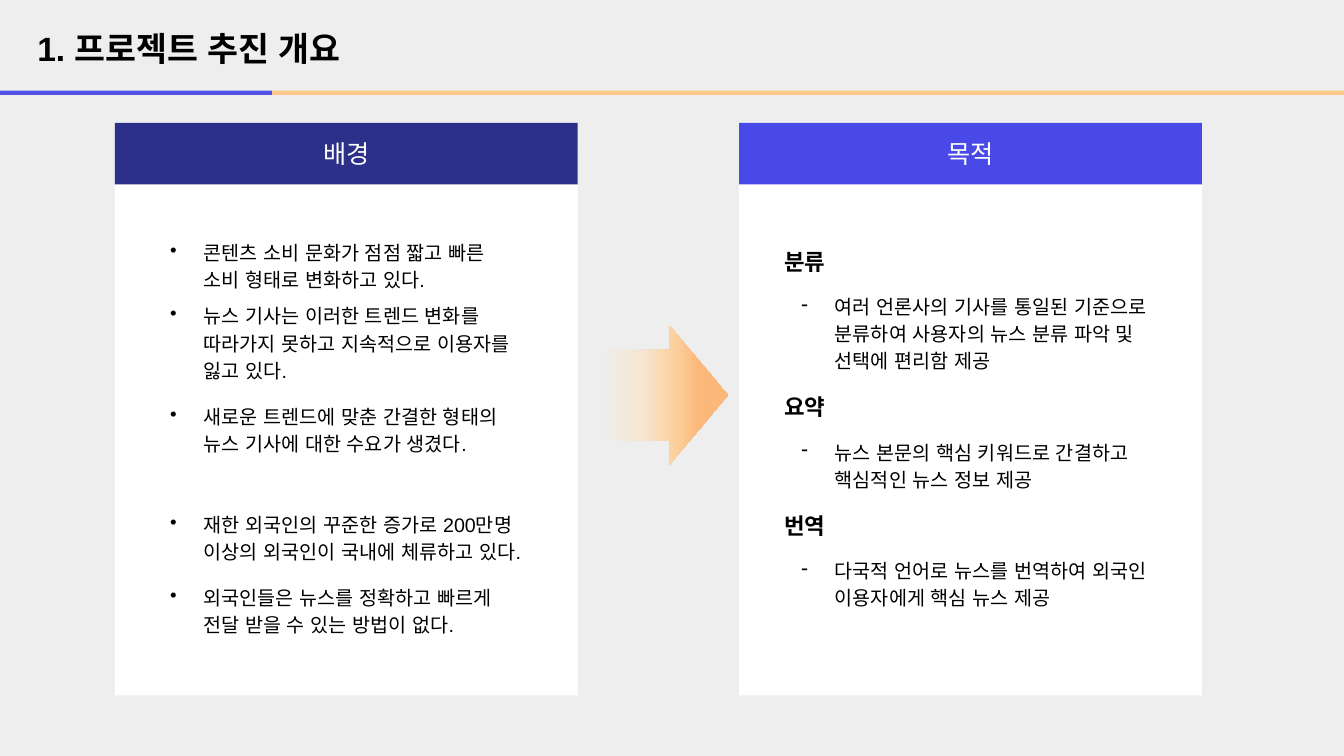
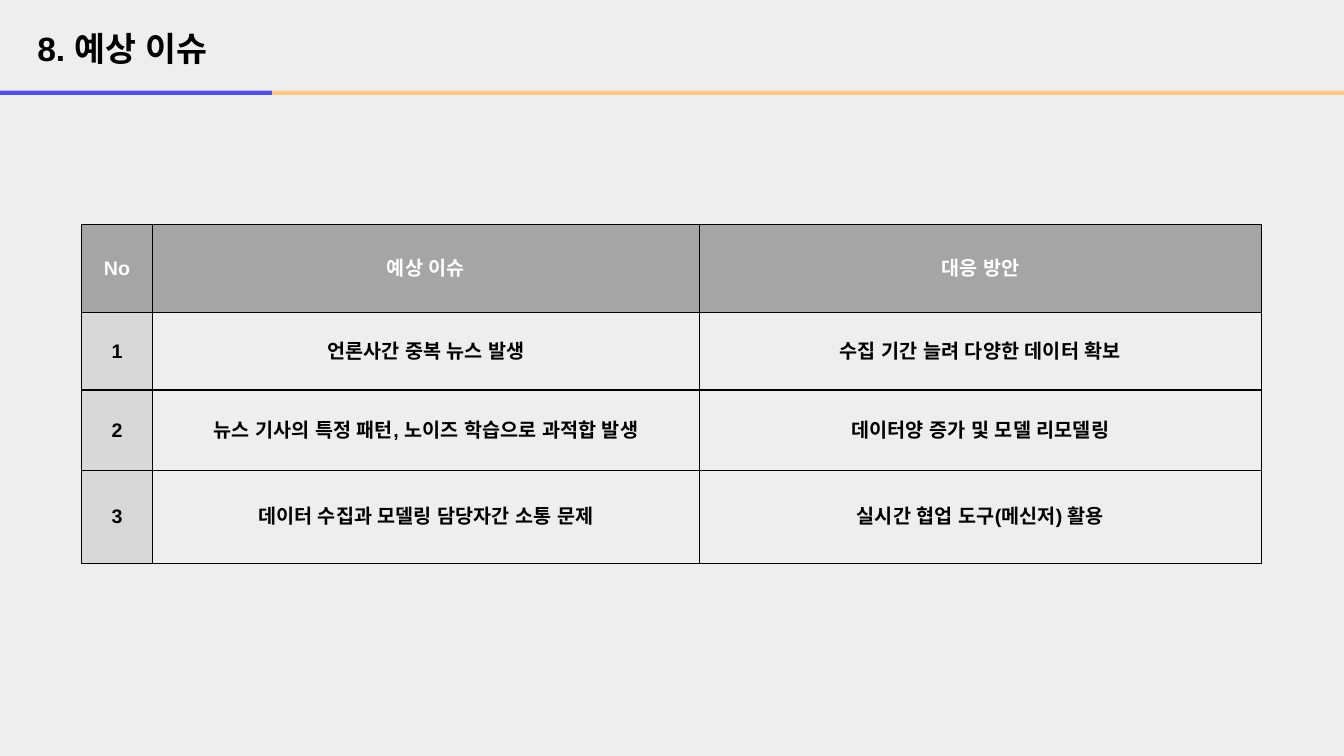
"""Build a project overview slide and an expected issues slide."""
from dataclasses import dataclass

from lxml.etree import SubElement
from pptx import Presentation
from pptx.dml.color import RGBColor
from pptx.enum.lang import MSO_LANGUAGE_ID as Language
from pptx.enum.shapes import MSO_CONNECTOR as Connector, MSO_SHAPE as Preset
from pptx.enum.text import MSO_ANCHOR as Anchor, PP_ALIGN as Align
from pptx.oxml.ns import qn
from pptx.util import Inches, Pt


@dataclass(frozen=True)
class Theme:
    font: str = "Arial"
    background: str = "EEEEEE"
    panel: str = "FFFFFF"
    navy: str = "2C3089"
    blue: str = "4949E8"
    orange: str = "FFC785"
    ink: str = "000000"
    light_text: str = "FFFFFF"
    table_header: str = "A5A5A5"
    table_number: str = "D8D8D8"
    title_size: int = 24
    panel_size: int = 18
    heading_size: int = 16
    body_size: int = 14


THEME = Theme()

OVERVIEW_TITLE = "1. 프로젝트 추진 개요"
BACKGROUND_POINTS = [
    ("콘텐츠 소비 문화가 점점 짧고 빠른 소비 형태로 변화하고 있다.", 0),
    ("뉴스 기사는 이러한 트렌드 변화를 따라가지 못하고 지속적으로 이용자를 잃고 있다.", 6.5),
    ("새로운 트렌드에 맞춘 간결한 형태의 뉴스 기사에 대한 수요가 생겼다.", 14),
    ("재한 외국인의 꾸준한 증가로 200만명 이상의 외국인이 국내에 체류하고 있다.", 38.5),
    ("외국인들은 뉴스를 정확하고 빠르게 전달 받을 수 있는 방법이 없다.", 13.5),
]
PURPOSES = [
    ("분류", "여러 언론사의 기사를 통일된 기준으로 분류하여 사용자의 뉴스 분류 파악 및 선택에 편리함 제공"),
    ("요약", "뉴스 본문의 핵심 키워드로 간결하고 핵심적인 뉴스 정보 제공"),
    ("번역", "다국적 언어로 뉴스를 번역하여 외국인 이용자에게 핵심 뉴스 제공"),
]
PANELS = [("배경", 1.14, THEME.navy), ("목적", 7.33, THEME.blue)]
ARROW_STOPS = [(0, "EEEEEE"), (8, "EEEEEE"), (38, "F6E6D2"),
               (61, "FBD1A0"), (79, "FCB87A"), (100, "FCB87A")]

ISSUES_TITLE = "8. 예상 이슈"
ISSUES = [
    ("No", "예상 이슈", "대응 방안"),
    ("1", "언론사간 중복 뉴스 발생", "수집 기간 늘려 다양한 데이터 확보"),
    ("2", "뉴스 기사의 특정 패턴, 노이즈 학습으로 과적합 발생", "데이터양 증가 및 모델 리모델링"),
    ("3", "데이터 수집과 모델링 담당자간 소통 문제", "실시간 협업 도구(메신저) 활용"),
]
COLUMN_WIDTHS = [0.7, 5.43, 5.57]
ROW_HEIGHTS = [0.87, 0.77, 0.8, 0.92]


def rgb(color):
    return RGBColor.from_string(color)


def box(left, top, width, height):
    return [Inches(value) for value in (left, top, width, height)]


def write(frame, text, *, size=THEME.body_size, color=THEME.ink, bold=False,
          align=Align.LEFT, before=0, line_spacing=1.0, bullet=None):
    """Add one formatted paragraph, using the first one while it is blank."""
    first = frame.paragraphs[0]
    paragraph = frame.add_paragraph() if first.runs else first
    paragraph.alignment = align
    paragraph.space_before = Pt(before)
    paragraph.line_spacing = line_spacing
    run = paragraph.add_run()
    run.text = text
    font = run.font
    font.name, font.size, font.bold = THEME.font, Pt(size), bold
    font.color.rgb = rgb(color)
    font.language_id = Language.KOREAN
    SubElement(font._element, qn("a:ea"), typeface=THEME.font)
    if bullet:
        properties = paragraph._p.get_or_add_pPr()
        properties.set("marL", str(Inches(0.5)))
        properties.set("indent", str(Inches(-0.33)))
        bullet_color = SubElement(properties, qn("a:buClr"))
        SubElement(bullet_color, qn("a:srgbClr"), val=THEME.ink)
        SubElement(properties, qn("a:buChar"), char=bullet)


def add_band(slide, start, end, color):
    line = slide.shapes.add_connector(
        Connector.STRAIGHT, Inches(start), Inches(0.92), Inches(end), Inches(0.92))
    line.line.color.rgb = rgb(color)
    line.line.width = Pt(3)
    for line_color in line._element.iter(qn("a:srgbClr")):
        SubElement(line_color, qn("a:alpha"), val="95000")
    SubElement(line._element.spPr, qn("a:effectLst"))


def add_titled_slide(presentation, title):
    slide = presentation.slides.add_slide(presentation.slide_layouts.get_by_name("Title Only"))
    shape = slide.shapes.title
    shape.left, shape.top, shape.width, shape.height = box(0.27, 0.23, 3.81, 0.5)
    shape.text_frame.vertical_anchor = Anchor.TOP
    write(shape.text_frame, title, size=THEME.title_size, bold=True)
    add_band(slide, 0, 2.7, THEME.blue)
    add_band(slide, 2.7, 13.33, THEME.orange)
    return slide


def add_block(slide, preset, area, color=None):
    shape = slide.shapes.add_shape(preset, *area)
    shape.shadow.inherit = False
    shape.line.fill.background()
    if color:
        shape.fill.solid()
        shape.fill.fore_color.rgb = rgb(color)
    return shape


def add_panel(slide, heading, left, color):
    add_block(slide, Preset.RECTANGLE, box(left, 1.49, 4.59, 5.41), THEME.panel)
    header = add_block(slide, Preset.RECTANGLE, box(left, 1.22, 4.59, 0.61), color)
    header.text_frame.vertical_anchor = Anchor.MIDDLE
    write(header.text_frame, heading, size=THEME.panel_size,
          color=THEME.light_text, align=Align.CENTER)


def add_arrow(slide):
    arrow = add_block(slide, Preset.RIGHT_ARROW, box(5.84, 3.23, 1.38, 1.38))
    arrow.adjustments[0], arrow.adjustments[1] = 0.65, 0.42
    arrow.fill.gradient()
    arrow.fill.gradient_angle = 0
    stops = arrow._element.spPr.find(".//" + qn("a:gsLst"))
    for stop in list(stops):
        stops.remove(stop)
    for position, color in ARROW_STOPS:
        stop = SubElement(stops, qn("a:gs"), pos=str(position * 1000))
        SubElement(stop, qn("a:srgbClr"), val=color)


def add_text_frame(slide, area):
    frame = slide.shapes.add_textbox(*area).text_frame
    frame.word_wrap = True
    return frame


def build_overview(presentation):
    slide = add_titled_slide(presentation, OVERVIEW_TITLE)
    for panel in PANELS:
        add_panel(slide, *panel)
    add_arrow(slide)
    frame = add_text_frame(slide, box(1.42, 2.31, 3.87, 4.34))
    for text, gap in BACKGROUND_POINTS:
        write(frame, text, before=gap, line_spacing=1.15, bullet="•")
    frame = add_text_frame(slide, box(7.68, 2.37, 3.88, 3.73))
    for index, (heading, detail) in enumerate(PURPOSES):
        write(frame, heading, size=THEME.heading_size, bold=True,
              before=12 if index else 0, line_spacing=1.15)
        write(frame, detail, before=12, line_spacing=1.15, bullet="-")


def style_cell(cell, fill):
    properties = cell._tc.get_or_add_tcPr()
    for side in ("lnL", "lnR", "lnT", "lnB"):
        border = SubElement(properties, qn(f"a:{side}"), w=str(Pt(1)))
        solid = SubElement(border, qn("a:solidFill"))
        SubElement(solid, qn("a:srgbClr"), val=THEME.ink)
    if fill:
        cell.fill.solid()
        cell.fill.fore_color.rgb = rgb(fill)
    else:
        cell.fill.background()
    cell.vertical_anchor = Anchor.MIDDLE
    cell.margin_top = cell.margin_bottom = Inches(0.05)


def build_issues(presentation):
    slide = add_titled_slide(presentation, ISSUES_TITLE)
    area = box(0.81, 2.23, sum(COLUMN_WIDTHS), sum(ROW_HEIGHTS))
    table = slide.shapes.add_table(len(ISSUES), len(COLUMN_WIDTHS), *area).table
    table.first_row = table.horz_banding = False
    for column, width in zip(table.columns, COLUMN_WIDTHS):
        column.width = Inches(width)
    for row, height in zip(table.rows, ROW_HEIGHTS):
        row.height = Inches(height)
    for row_index, texts in enumerate(ISSUES):
        for column_index, text in enumerate(texts):
            is_header = row_index == 0
            number_fill = THEME.table_number if column_index == 0 else None
            cell = table.cell(row_index, column_index)
            style_cell(cell, THEME.table_header if is_header else number_fill)
            write(cell.text_frame, text, bold=True, align=Align.CENTER,
                  color=THEME.light_text if is_header else THEME.ink)


def main():
    presentation = Presentation()
    presentation.slide_width, presentation.slide_height = Inches(13.33), Inches(7.5)
    background = presentation.slide_master.background.fill
    background.solid()
    background.fore_color.rgb = rgb(THEME.background)
    build_overview(presentation)
    build_issues(presentation)
    presentation.save("out.pptx")


if __name__ == "__main__":
    main()
